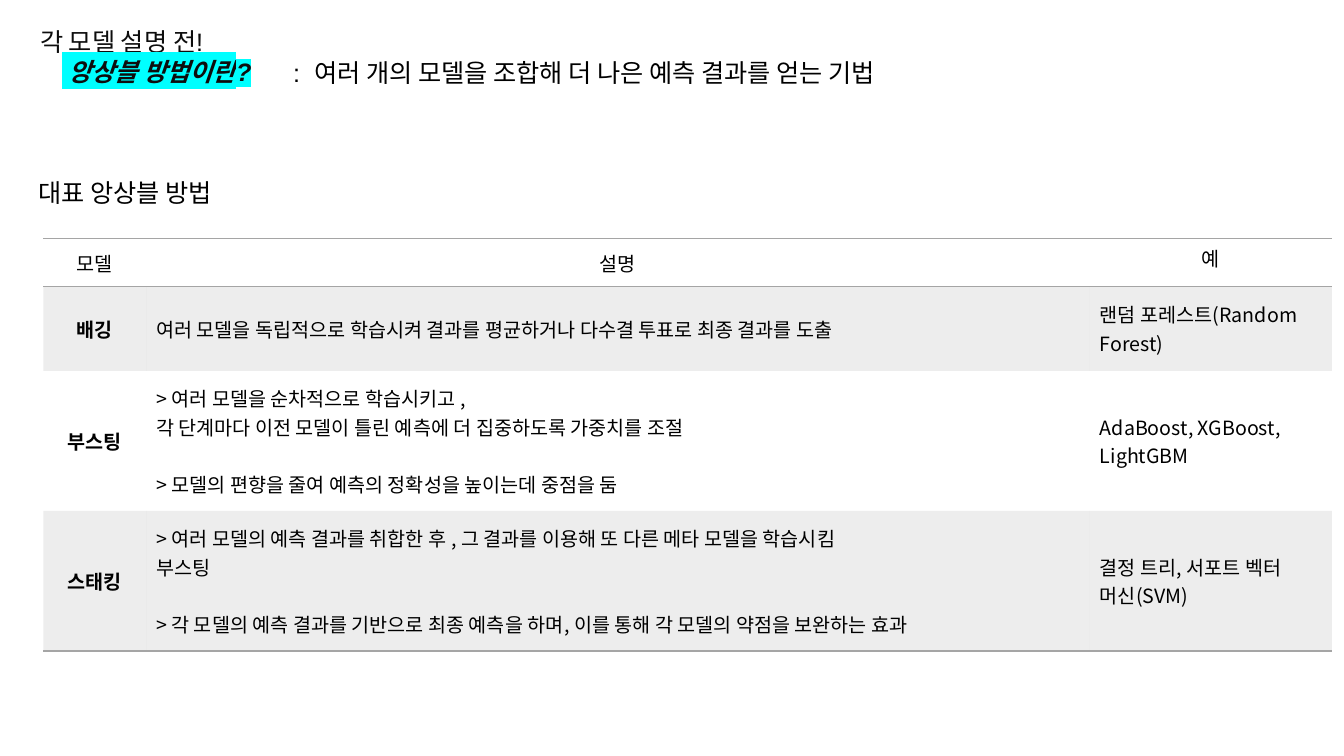
from lxml.etree import SubElement
from pptx import Presentation
from pptx.dml.color import RGBColor
from pptx.enum.text import MSO_ANCHOR as Anchor, PP_ALIGN as Align
from pptx.oxml.ns import qn
from pptx.util import Inches, Pt

# Content
INTRO = "각 모델 설명 전!"
QUESTION = " 앙상블 방법이란?"
HEADINGS = [
    (2.81, 0.52, 9.93, ":  여러 개의 모델을 조합해 더 나은 예측 결과를 얻는 기법"),
    (0.28, 1.71, 2.82, "대표 앙상블 방법"),
]
METHODS = [
    ("모델", "설명", "예"),
    ("배깅",
     "여러 모델을 독립적으로 학습시켜 결과를 평균하거나 다수결 투표로 최종 결과를 도출",
     "랜덤 포레스트(Random Forest)"),
    ("부스팅",
     "> 여러 모델을 순차적으로 학습시키고 ,\n"
     "각 단계마다 이전 모델이 틀린 예측에 더 집중하도록 가중치를 조절\n"
     "> 모델의 편향을 줄여 예측의 정확성을 높이는데 중점을 둠",
     "AdaBoost, XGBoost, LightGBM"),
    ("스태킹",
     "> 여러 모델의 예측 결과를 취합한 후 , 그 결과를 이용해 또 다른 메타 모델을 학습시킴\n"
     "부스팅\n"
     "> 각 모델의 예측 결과를 기반으로 최종 예측을 하며, 이를 통해 각 모델의 약점을 보완하는 효과",
     "결정 트리, 서포트 벡터 머신(SVM)"),
]
COLUMN_WIDTHS = [1.02, 9.36, 2.4]
ROW_HEIGHTS = [0.47, 0.84, 1.39, 1.39]
COLORS = {"ink": "000000", "intro": "0D0D0D", "mark": "00FFFF", "gray": "A5A5A5"}
LATIN, KOREAN = "Arial", "Noto Sans CJK KR"
PLAIN_TABLE = "{2D5ABB26-0587-4C30-8999-92F81FD0307C}"


def style(paragraph, size, font, color="ink", bold=False):
    for run in paragraph.runs:
        run.font.size = Pt(size)
        run.font.bold = bold
        run.font.color.rgb = RGBColor.from_string(COLORS[color])
        run.font.name = font
        SubElement(run.font._element, qn("a:ea"), typeface=KOREAN)


def add_text(left, top, width, height, text, color="ink"):
    frame = slide.shapes.add_textbox(*map(Inches, (left, top, width, height))).text_frame
    frame.word_wrap = True
    frame.text = text
    for paragraph in frame.paragraphs:
        style(paragraph, 18, LATIN, color)
    return frame


def add_border(cell, side):
    line = SubElement(cell._tc.get_or_add_tcPr(), qn(f"a:ln{side}"), w=str(Pt(1)))
    fill = SubElement(line, qn("a:solidFill"))
    SubElement(fill, qn("a:srgbClr"), val=COLORS["gray"])


def shade(cell):
    cell.fill.solid()
    cell.fill.fore_color.rgb = RGBColor.from_string(COLORS["gray"])
    tint = cell._tc.tcPr.find(".//" + qn("a:solidFill") + "[last()]")
    tint = cell._tc.tcPr.findall(qn("a:solidFill"))[-1][0]
    SubElement(tint, qn("a:alpha"), val="20000")


prs = Presentation()
prs.slide_width, prs.slide_height = Inches(13.33), Inches(7.5)
slide = prs.slides.add_slide(prs.slide_layouts[6])

# Opening question, indented and highlighted
intro = add_text(0.3, 0.21, 2.5, 0.71, f"{INTRO}\n{QUESTION}", "intro")
for paragraph in intro.paragraphs:
    paragraph.alignment = Align.JUSTIFY
question = intro.paragraphs[1]
question._p.get_or_add_pPr().set("marL", str(Inches(0.22)))
asked = question.runs[0].font
asked.bold = asked.italic = True
highlight = SubElement(asked._element, qn("a:highlight"))
SubElement(highlight, qn("a:srgbClr"), val=COLORS["mark"])
asked._element.find(qn("a:solidFill")).addnext(highlight)

# Answer and table heading
for left, top, width, text in HEADINGS:
    add_text(left, top, width, 0.4, text)

# Table of ensemble methods
frame = slide.shapes.add_table(
    len(METHODS), len(COLUMN_WIDTHS), Inches(0.43), Inches(2.37),
    Inches(sum(COLUMN_WIDTHS)), Inches(sum(ROW_HEIGHTS)))
table = frame.table
table._tbl.tblPr.find(qn("a:tableStyleId")).text = PLAIN_TABLE
for column, width in zip(table.columns, COLUMN_WIDTHS):
    column.width = Inches(width)
for row, height in zip(table.rows, ROW_HEIGHTS):
    row.height = Inches(height)

last = len(METHODS) - 1
for r, method in enumerate(METHODS):
    for c, text in enumerate(method):
        cell = table.cell(r, c)
        cell.text_frame.text = text
        header_example = r == 0 and c == 2
        cell.vertical_anchor = Anchor.TOP if header_example else Anchor.MIDDLE
        for i, paragraph in enumerate(cell.text_frame.paragraphs):
            paragraph.alignment = Align.CENTER if r == 0 or c == 0 else Align.LEFT
            if i == 2:  # gap before the second point
                paragraph.space_before = Pt(20.5)
            style(paragraph, 14, KOREAN, bold=r > 0 and c == 0)
        if r == 0:
            add_border(cell, "T")
        if r in (0, last):
            add_border(cell, "B")
        if r % 2:
            shade(cell)
        else:
            cell.fill.background()

prs.save("out.pptx")
